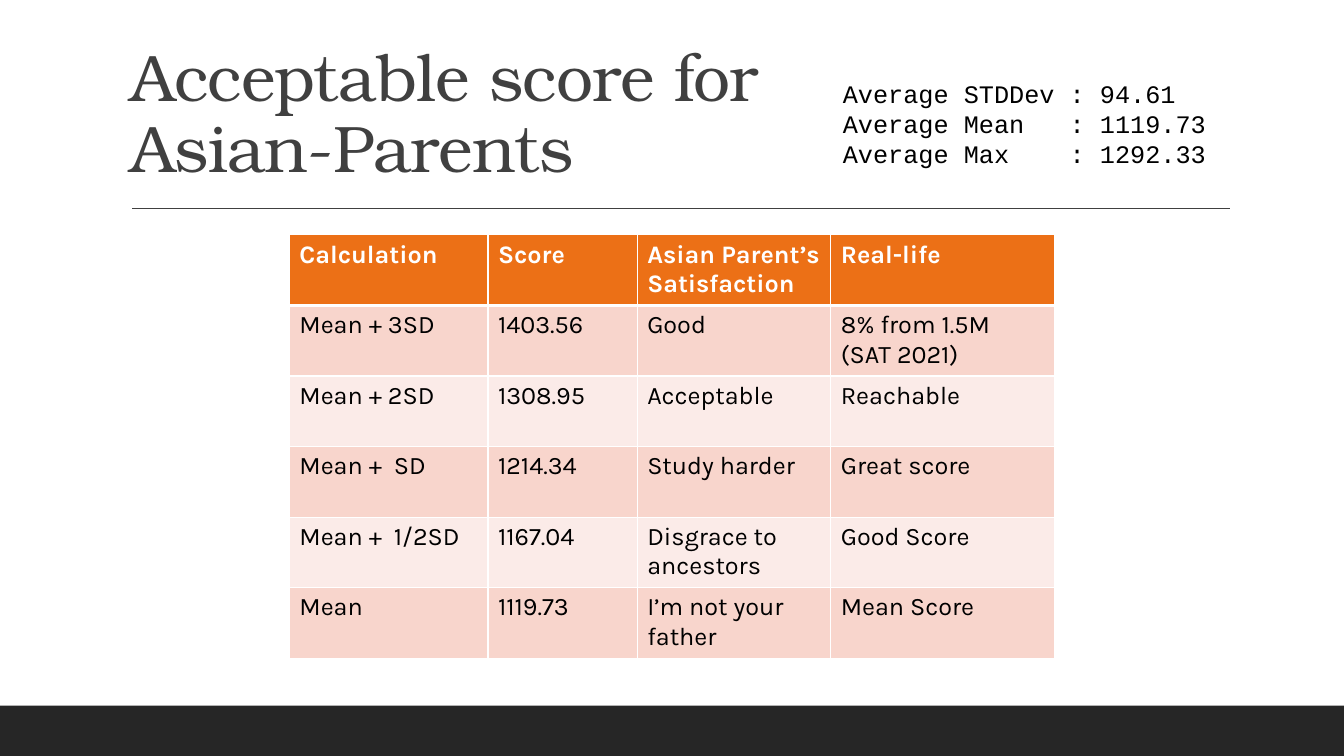
from lxml import etree
from pptx import Presentation
from pptx.dml.color import RGBColor
from pptx.enum.shapes import MSO_CONNECTOR, MSO_SHAPE
from pptx.enum.text import MSO_ANCHOR
from pptx.oxml.ns import qn
from pptx.util import Inches, Pt

TITLE = "Acceptable score for \vAsian-Parents"
AVERAGES = [("Average STDDev", "94.61"), ("Average Mean", "1119.73"), ("Average Max", "1292.33")]
SCORES = [
    ("Calculation", "Score", "Asian Parent’s Satisfaction", "Real-life"),
    ("Mean + 3SD", "1403.56", "Good", "8% from 1.5M\n(SAT 2021)"),
    ("Mean + 2SD", "1308.95", "Acceptable", "Reachable"),
    ("Mean +  SD", "1214.34", "Study harder", "Great score"),
    ("Mean +  1/2SD", "1167.04", "Disgrace to ancestors", "Good Score"),
    ("Mean", "1119.73", "I’m not your father", "Mean Score"),
]
COL_WIDTHS = [1.97, 1.48, 1.92, 2.22]
ROW_HEIGHT = 0.7
COLON_TAB = 2.25

WHITE = RGBColor(0xFF, 0xFF, 0xFF)
BLACK = RGBColor(0, 0, 0)
GREY = RGBColor(0x40, 0x40, 0x40)
FOOTER = RGBColor(0x26, 0x26, 0x26)
ORANGE = RGBColor(0xEC, 0x70, 0x16)
BANDS = [RGBColor(0xFB, 0xEB, 0xE8), RGBColor(0xF8, 0xD5, 0xCC)]


def style(p, name, size, color, bold=False):
    f = p.font
    f.name, f.size, f.bold = name, Pt(size), bold
    f.color.rgb = color


def add_text(s, left, top, width, height, anchor):
    box = s.shapes.add_textbox(Inches(left), Inches(top), Inches(width), Inches(height))
    box.text_frame.word_wrap = True
    box.text_frame.vertical_anchor = anchor
    return box


def set_borders(cell, **points):
    """Draw white cell borders, with widths in points keyed by side (L, R, T, B)."""
    tc_pr = cell._tc.get_or_add_tcPr()
    for side, width in points.items():
        ln = etree.SubElement(tc_pr, qn(f"a:ln{side}"), w=str(Pt(width)))
        fill = etree.SubElement(ln, qn("a:solidFill"))
        etree.SubElement(fill, qn("a:srgbClr"), val=str(WHITE))


def add_frame(s):
    bar = s.shapes.add_shape(MSO_SHAPE.RECTANGLE, 0, Inches(7), Inches(13.33), Inches(0.5))
    bar.shadow.inherit = False
    bar.fill.solid()
    bar.fill.fore_color.rgb = FOOTER
    bar.line.fill.background()
    rule = s.shapes.add_connector(MSO_CONNECTOR.STRAIGHT, Inches(1.31), Inches(2.07),
                                  Inches(12.2), Inches(2.07))
    rule.line.color.rgb = GREY
    rule.line.width = Pt(1.25)
    etree.SubElement(rule._element.spPr, qn("a:effectLst"))


def add_title(s):
    p = add_text(s, 1.2, 0.31, 11, 1.59, MSO_ANCHOR.BOTTOM).text_frame.paragraphs[0]
    p.text = TITLE
    p.line_spacing = 0.9
    style(p, "TeX Gyre Bonum", 47, GREY)
    for r in p.runs:
        r._r.get_or_add_rPr().set("spc", "-50")


def add_averages(s):
    box = add_text(s, 8.36, 0.77, 3.77, 0.91, MSO_ANCHOR.MIDDLE)
    box.fill.solid()
    box.fill.fore_color.rgb = WHITE
    tf = box.text_frame
    tf.margin_left = tf.margin_right = tf.margin_top = tf.margin_bottom = 0
    tf.text = "\n".join(f"{label}\t: {value}" for label, value in AVERAGES)
    for p in tf.paragraphs:
        tabs = etree.SubElement(p._p.get_or_add_pPr(), qn("a:tabLst"))
        etree.SubElement(tabs, qn("a:tab"), pos=str(Inches(COLON_TAB)), algn="l")
        style(p, "Courier New", 18, BLACK)


def add_scores(s):
    table = s.shapes.add_table(len(SCORES), len(COL_WIDTHS), Inches(2.87), Inches(2.33),
                               Inches(sum(COL_WIDTHS)), Inches(ROW_HEIGHT * len(SCORES))).table
    for column, width in zip(table.columns, COL_WIDTHS):
        column.width = Inches(width)
    for i, row in enumerate(SCORES):
        header = i == 0
        for j, text in enumerate(row):
            cell = table.cell(i, j)
            set_borders(cell, L=1, R=1, T=3 if i == 1 else 1, B=3 if header else 1)
            cell.fill.solid()
            cell.fill.fore_color.rgb = ORANGE if header else BANDS[i % 2]
            cell.text = text
            for p in cell.text_frame.paragraphs:
                style(p, "Karla", 18, WHITE if header else BLACK, header)


def main():
    prs = Presentation()
    prs.slide_width, prs.slide_height = Inches(13.33), Inches(7.5)
    s = prs.slides.add_slide(prs.slide_layouts[6])
    add_frame(s)
    add_title(s)
    add_averages(s)
    add_scores(s)
    prs.save("out.pptx")


if __name__ == "__main__":
    main()
